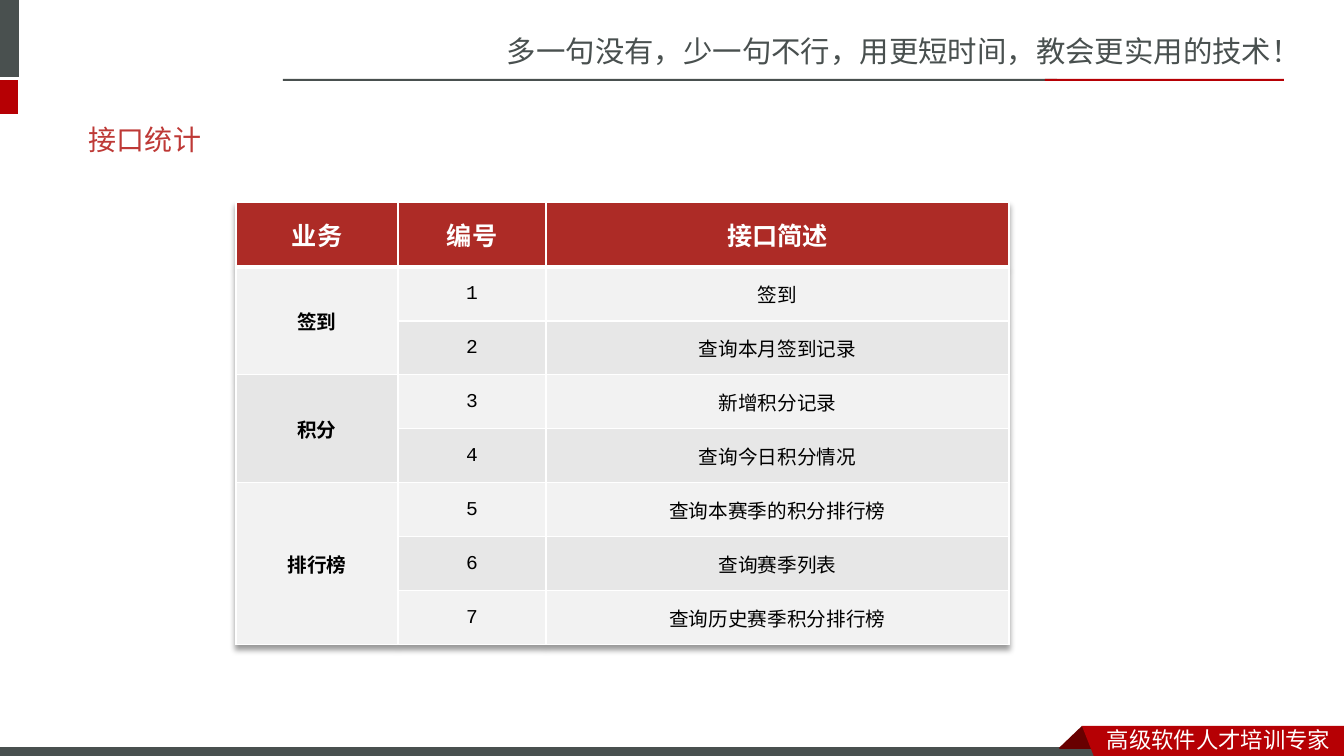
from lxml.etree import SubElement, fromstring
from pptx import Presentation
from pptx.dml.color import RGBColor as Rgb
from pptx.enum.shapes import MSO_SHAPE as Kind
from pptx.enum.text import MSO_ANCHOR as Anchor, PP_ALIGN as Align
from pptx.oxml.ns import qn
from pptx.util import Pt

PX = 12192000 / 1344  # EMU in one px


class Theme:
    gray, red, dark, white = "49504F", "B60004", "680000", "FFFFFF"
    title, head, ink = "BE3936", "AD2B26", "000000"
    bands, groups = ("F2F2F2", "E7E7E7"), ("F2F2F2", "E6E6E6")
    sans, latin, mono = "Noto Sans CJK SC", "Calibri", "Courier New"
    motto, badge, name, top, body = 21, 16, 20, 18, 14


def px(*vals):
    return [round(v * PX) for v in vals]


def style(para, size, font, color, bold=False):
    for run in para.runs:
        run.font.size, run.font.bold, run.font.name = Pt(size), bold, font
        run.font.color.rgb = Rgb.from_string(color)
        SubElement(run.font._element, qn("a:ea")).set("typeface", Theme.sans)


deck = Presentation()
deck.slide_width, deck.slide_height = px(1344, 756)
slide = deck.slides.add_slide(deck.slide_layouts[6])
shapes = slide.shapes

# Side bars, header rule and footer bar
bars = [
    (-6, 0, 25, 77, Theme.gray),
    (-6, 80, 24, 34, Theme.red),
    (283, 79, 774, 2, Theme.gray),
    (1045, 79, 239, 2, Theme.red),
    (-1, 747, 1109, 12, Theme.gray),
]
for *box, color in bars:
    bar = shapes.add_shape(Kind.RECTANGLE, *px(*box))
    bar.shadow.inherit = False
    bar.fill.solid()
    bar.fill.fore_color.rgb = Rgb.from_string(color)
    bar.line.fill.background()
bar.line.color.rgb = Rgb.from_string(Theme.white)
bar.line.width = Pt(0.75)

# Footer ribbon and its fold
folds = [
    ([(1082, 726), (1104, 748), (1103, 749), (1060, 749), (1059, 748)], Theme.dark),
    ([(1082, 726), (1344, 726), (1344, 760), (1095, 759)], Theme.red),
]
for pts, color in folds:
    pen = shapes.build_freeform(*pts[0], scale=PX)
    pen.add_line_segments(pts[1:], close=True)
    fold = pen.convert_to_shape()
    fold.shadow.inherit = False
    fold.fill.solid()
    fold.fill.fore_color.rgb = Rgb.from_string(color)
    fold.line.fill.background()

# Motto, badge and title
texts = [
    ((497, 28, 848, 47), "多一句没有，少一句不行，用更短时间，教会更实用的技术！",
     Theme.motto, Theme.sans, Theme.gray, Anchor.TOP),
    ((1097, 721, 247, 37), "高级软件人才培训专家",
     Theme.badge, Theme.sans, Theme.white, Anchor.TOP),
    ((79, 111, 1179, 57), "接口统计",
     Theme.name, Theme.latin, Theme.title, Anchor.MIDDLE),
]
for box, text, size, font, color, anchor in texts:
    frame = shapes.add_textbox(*px(*box)).text_frame
    frame.word_wrap = True
    frame.vertical_anchor = anchor
    frame.text = text
    style(frame.paragraphs[0], size, font, color)

# Table data: each group with its interfaces
heads = ["业务", "编号", "接口简述"]
groups = [
    ("签到", ["签到", "查询本月签到记录"]),
    ("积分", ["新增积分记录", "查询今日积分情况"]),
    ("排行榜", ["查询本赛季的积分排行榜", "查询赛季列表", "查询历史赛季积分排行榜"]),
]
count = sum(len(items) for _, items in groups)
wide, tall = [162, 148, 463], [65] + [54] * count
grid = shapes.add_table(count + 1, 3, *px(236, 202, sum(wide), sum(tall))).table
for col, size in zip(grid.columns, px(*wide)):
    col.width = size
for row, size in zip(grid.rows, px(*tall)):
    row.height = size

# Cells as (row, column, text, fill)
cells = [(0, c, text, Theme.head) for c, text in enumerate(heads)]
row = 1
for g, (group, items) in enumerate(groups):
    grid.cell(row, 0).merge(grid.cell(row + len(items) - 1, 0))
    for i, item in enumerate(items):
        band = Theme.bands[(row - 1) % 2]
        cells += [(row, 0, "" if i else group, Theme.groups[g % 2]),
                  (row, 1, str(row), band), (row, 2, item, band)]
        row += 1

for r, c, text, fill in cells:
    cell = grid.cell(r, c)
    cell.text = text
    cell.vertical_anchor = Anchor.MIDDLE
    para = cell.text_frame.paragraphs[0]
    para.alignment = Align.CENTER
    if r == 0:
        style(para, Theme.top, Theme.mono, Theme.white, True)
    else:
        style(para, Theme.body, Theme.mono, Theme.ink, c == 0)
    # White borders, thick under the head row
    props = cell._tc.get_or_add_tcPr()
    for side in "LRTB":
        thick = (r, side) in [(0, "B"), (1, "T")]
        edge = SubElement(props, qn("a:ln" + side), w=str(Pt(3 if thick else 1)))
        paint = SubElement(edge, qn("a:solidFill"))
        SubElement(paint, qn("a:srgbClr"), val=Theme.white)
    cell.fill.solid()
    cell.fill.fore_color.rgb = Rgb.from_string(fill)

# Soft shadow under the table
grid._tbl.tblPr.insert(0, fromstring(
    '<a:effectLst xmlns:a="http://schemas.openxmlformats.org/drawingml/2006/main">'
    '<a:outerShdw blurRad="50800" dist="38100" dir="5400000" algn="t" rotWithShape="0">'
    '<a:srgbClr val="000000"><a:alpha val="40000"/></a:srgbClr>'
    '</a:outerShdw></a:effectLst>'))

deck.save("out.pptx")
